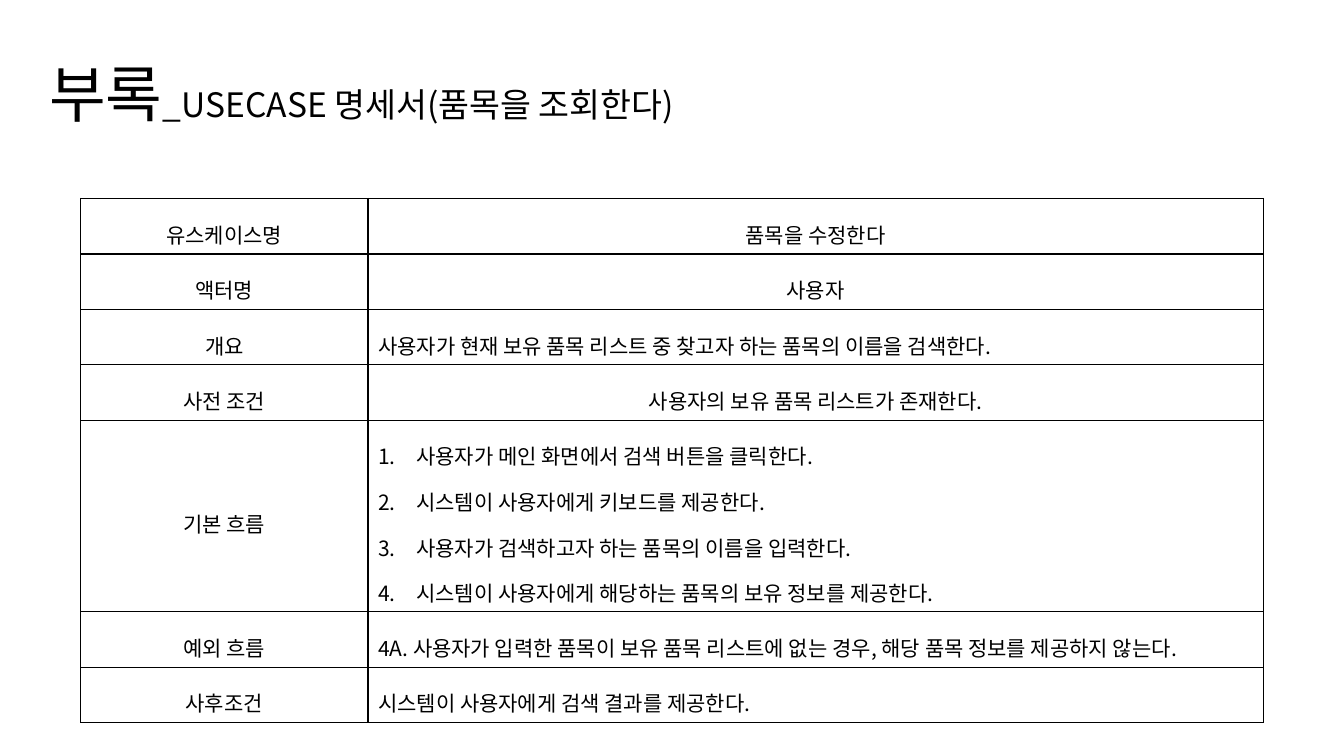
from dataclasses import dataclass

from lxml import etree
from pptx import Presentation
from pptx.dml.color import RGBColor
from pptx.enum import text as t
from pptx.oxml import ns
from pptx.util import Inches, Pt

TITLE = [("부록", "head"), ("_USECASE 명세서(품목을 조회한다)", "sub")]

# label, alignment of the value, value lines
ROWS = [
    ("유스케이스명", "center", ["품목을 수정한다"]),
    ("액터명", "center", ["사용자"]),
    ("개요", "left", ["사용자가 현재 보유 품목 리스트 중 찾고자 하는 품목의 이름을 검색한다."]),
    ("사전 조건", "center", ["사용자의 보유 품목 리스트가 존재한다."]),
    ("기본 흐름", "steps", [
        "사용자가 메인 화면에서 검색 버튼을 클릭한다.",
        "시스템이 사용자에게 키보드를 제공한다.",
        "사용자가 검색하고자 하는 품목의 이름을 입력한다.",
        "시스템이 사용자에게 해당하는 품목의 보유 정보를 제공한다.",
    ]),
    ("예외 흐름", "left",
     ["4A. 사용자가 입력한 품목이 보유 품목 리스트에 없는 경우, 해당 품목 정보를 제공하지 않는다."]),
    ("사후조건", "left", ["시스템이 사용자에게 검색 결과를 제공한다."]),
]
COLS = (2.85, 8.88)
LINE, PAD = 0.45, 0.1  # height of one text line, cell padding top plus bottom


@dataclass(frozen=True)
class Theme:
    font: str = "Noto Sans CJK KR"
    ink: str = "000000"
    head: int = 44
    sub: int = 24
    body: int = 15
    rule: int = 1


THEME = Theme()


def add_run(para, words, size):
    run = para.add_run()
    run.text = words
    font = run.font
    font.name, font.size = THEME.font, Pt(size)
    font.color.rgb = RGBColor.from_string(THEME.ink)
    latin = font._element.find(ns.qn("a:latin"))
    east = etree.Element(ns.qn("a:ea"), typeface=THEME.font)
    latin.addnext(east)


def number(para):
    """Give the paragraph an automatic number and a hanging indent."""
    props = para._p.get_or_add_pPr()
    props.set("marL", str(Inches(0.38)))
    props.set("indent", str(Inches(-0.38)))
    etree.SubElement(props, ns.qn("a:buFont"), typeface="+mj-lt")
    etree.SubElement(props, ns.qn("a:buAutoNum"), type="arabicPeriod")


def frame(cell):
    """Clear the cell's fill and rule all four sides."""
    cell.fill.background()
    props = cell._tc.get_or_add_tcPr()
    for i, side in enumerate("LRTB"):
        edge = etree.Element(ns.qn("a:ln" + side), w=str(Pt(THEME.rule)))
        fill = etree.SubElement(edge, ns.qn("a:solidFill"))
        etree.SubElement(fill, ns.qn("a:srgbClr"), val=THEME.ink)
        props.insert(i, edge)


def write(cell, lines, mode):
    cell.vertical_anchor = t.MSO_ANCHOR.MIDDLE
    body = cell.text_frame
    for i, line in enumerate(lines):
        para = body.add_paragraph() if i else body.paragraphs[0]
        para.line_spacing = 1.5
        para.alignment = t.PP_ALIGN.CENTER if mode == "center" else t.PP_ALIGN.LEFT
        if mode == "steps":
            number(para)
        add_run(para, line, THEME.body)
    frame(cell)


def add_title(slide):
    box = slide.shapes.add_textbox(Inches(0.39), Inches(0.14), Inches(11.5), Inches(1.65))
    body = box.text_frame
    body.word_wrap = True
    body.vertical_anchor = t.MSO_ANCHOR.MIDDLE
    para = body.paragraphs[0]
    para.line_spacing, para.space_after = 0.9, Pt(6)
    for words, role in TITLE:
        add_run(para, words, getattr(THEME, role))


def add_grid(slide):
    highs = [LINE * len(lines) + PAD for _, _, lines in ROWS]
    shape = slide.shapes.add_table(len(ROWS), len(COLS), Inches(0.8), Inches(1.97),
                                   Inches(sum(COLS)), Inches(sum(highs)))
    grid = shape.table
    grid.first_row = grid.horz_banding = False
    for col, wide in zip(grid.columns, COLS):
        col.width = Inches(wide)
    for row, high, (label, mode, lines) in zip(grid.rows, highs, ROWS):
        row.height = Inches(high)
        write(row.cells[0], [label], "center")
        write(row.cells[1], lines, mode)


def main():
    deck = Presentation()
    deck.slide_width, deck.slide_height = Inches(13.33), Inches(7.5)
    slide = deck.slides.add_slide(deck.slide_layouts[6])
    add_title(slide)
    add_grid(slide)
    deck.save("out.pptx")


if __name__ == "__main__":
    main()
